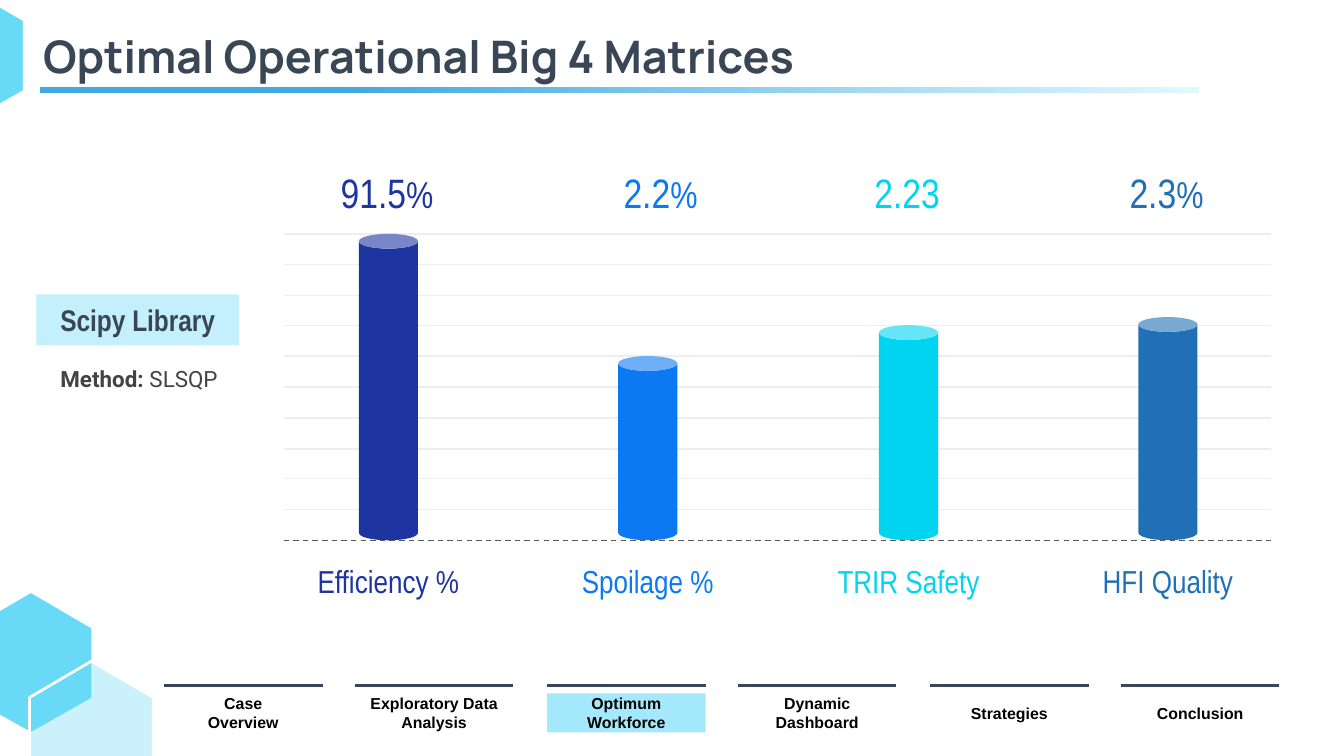
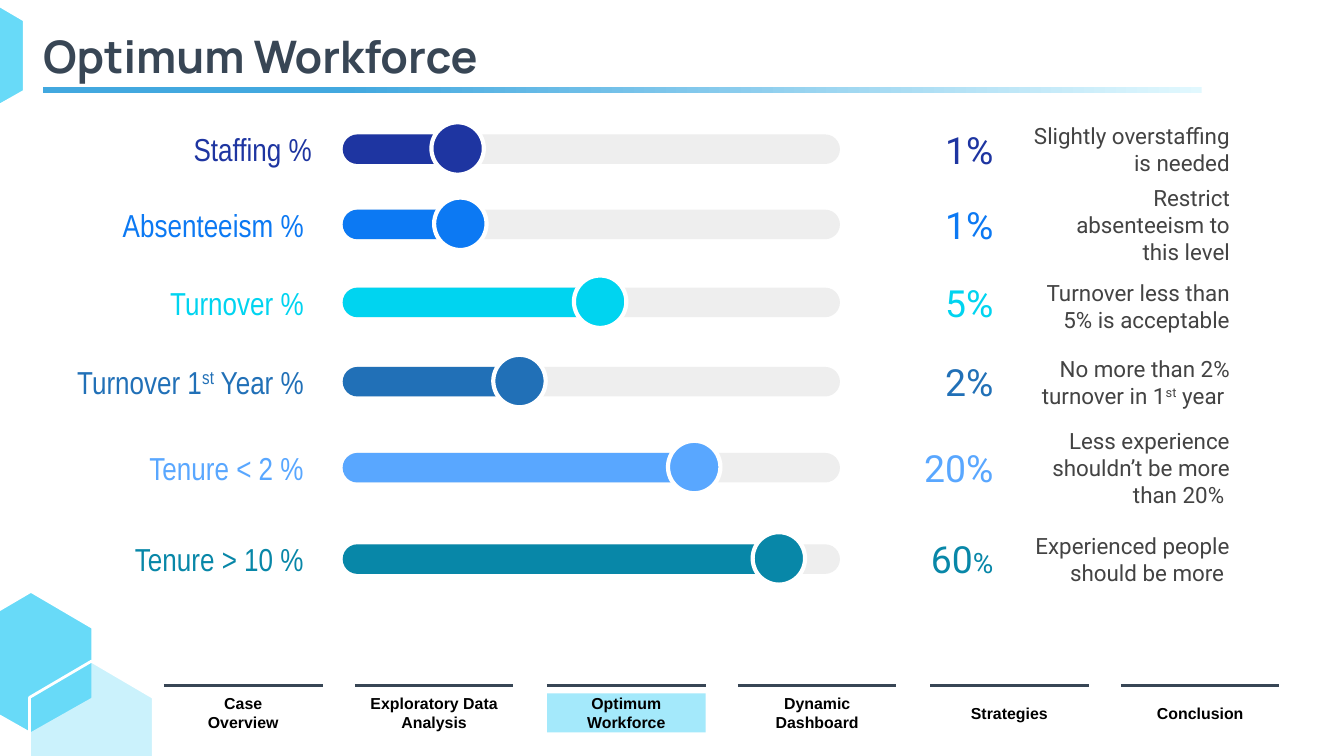
from typing import NamedTuple

from lxml.etree import SubElement
from pptx import Presentation
from pptx.dml.color import RGBColor
from pptx.enum.dml import MSO_LINE
from pptx.enum.shapes import MSO_CONNECTOR, MSO_SHAPE
from pptx.enum.text import MSO_ANCHOR, MSO_AUTO_SIZE, PP_ALIGN
from pptx.oxml.ns import qn
from pptx.util import Emu, Pt

SCALE = 9144  # EMU per px, 100 px to the inch
COLORS = {
    "slate": "384655", "black": "000000", "gray": "434343", "white": "FFFFFF",
    "track": "EEEEEE", "axis": "595959", "sky": "68DAF8", "active": "A4E9FB",
    "pale": "C3F0FC", "fade": "E1F8FE", "rule": "42A8DF", "navy": "1E35A1",
    "blue": "0C79F3", "cyan": "00D4F0", "steel": "2170B7", "light": "59A7FF",
    "teal": "0887A8",
}
SECTIONS = ["Case\nOverview", "Exploratory Data Analysis", "Optimum Workforce",
            "Dynamic Dashboard", "Strategies", "Conclusion"]
ACTIVE_SECTION = "Optimum Workforce"
SUPERSCRIPT = {"baseline": 30000}


class Metric(NamedTuple):
    name: str
    value: list
    color: str
    can_top: int
    value_width: int = 96


class Slider(NamedTuple):
    name: object
    value: object
    note: object
    color: str
    top: int
    fill_width: int
    knob_left: int
    name_left: int
    name_right: int = 236
    note_left: int = 749
    note_rise: int = 19


SMALL_PERCENT = ("%", {"size": 20})
METRICS = [
    Metric("Efficiency %", ["91.5", SMALL_PERCENT], "navy", 174),
    Metric("Spoilage %", ["2.2", SMALL_PERCENT], "blue", 265, 117),
    Metric("TRIR Safety", ["2.23"], "cyan", 242),
    Metric("HFI Quality", ["2.3", SMALL_PERCENT], "steel", 236),
]
SLIDERS = [
    Slider("Staffing %", "1%", "Slightly overstaffing is needed",
           "navy", 100, 91, 321, 124, name_right=242),
    Slider("Absenteeism %", "1%", "Restrict absenteeism to this level",
           "blue", 156, 91, 323, 61, note_left=767),
    Slider("Turnover %", "5%", "Turnover less than 5% is acceptable",
           "cyan", 214, 193, 427, 61, note_rise=16),
    Slider(["Turnover 1", ("st", SUPERSCRIPT), " Year %"], "2%",
           ["No more than 2% turnover in 1", ("st", SUPERSCRIPT), " year "],
           "steel", 273, 142, 367, -8),
    Slider("Tenure < 2 %", "20%", "Less experience shouldn’t be more than 20% ",
           "light", 337, 264, 497, 33),
    Slider("Tenure > 10 %", ["60", ("%", {"size": 15})],
           "Experienced people should be more ",
           "teal", 405, 335, 560, 33),
]


def px(value):
    return Emu(round(value) * SCALE)


def frame_px(*values):
    return [px(value) for value in values]


def rgb(name):
    return RGBColor.from_string(COLORS[name])


def write_text(frame, text, align=PP_ALIGN.CENTER, inset=10, **style):
    """Fill a text frame from a string or a list of strings and (text, style) pairs."""
    frame.word_wrap = True
    frame.auto_size = MSO_AUTO_SIZE.NONE
    frame.vertical_anchor = MSO_ANCHOR.MIDDLE
    frame.margin_left = frame.margin_right = px(10)
    frame.margin_top = frame.margin_bottom = px(inset)
    para = frame.paragraphs[0]
    para.alignment = align
    for part in [text] if isinstance(text, str) else text:
        words, changes = (part, {}) if isinstance(part, str) else part
        for number, line in enumerate(words.split("\n")):
            if number:
                para = frame.add_paragraph()
                para.alignment = align
            add_span(para, line, **{**style, **changes})


def add_span(para, text, size, font, color, bold=False, baseline=None):
    span = para.add_run()
    span.text = text
    span.font.size = Pt(size)
    span.font.name = font
    span.font.bold = bold
    span.font.color.rgb = rgb(color)
    if baseline:
        span._r.get_or_add_rPr().set("baseline", str(baseline))


def add_label(shapes, text, left, top, width, height, **style):
    box = shapes.add_textbox(*frame_px(left, top, width, height))
    write_text(box.text_frame, text, **style)
    return box


def paint(shape, color, border=None):
    shape.shadow.inherit = False
    shape.fill.solid()
    shape.fill.fore_color.rgb = rgb(color)
    if border:
        shape.line.color.rgb = rgb("white")
        shape.line.width = Pt(border)
    else:
        shape.line.fill.background()


def add_block(shapes, kind, left, top, width, height, color, corner=None, border=None):
    block = shapes.add_shape(kind, *frame_px(left, top, width, height))
    paint(block, color, border)
    if corner is not None:
        block.adjustments[0] = corner
    return block


def add_level_line(shapes, left, right, top, color, width, dash=None):
    line = shapes.add_connector(MSO_CONNECTOR.STRAIGHT, *frame_px(left, top, right, top))
    line.line.color.rgb = rgb(color)
    line.line.width = Pt(width)
    if dash:
        line.line.dash_style = dash
    SubElement(line._element.spPr, qn("a:effectLst"))


def add_hexagon(shapes, left, top, opacity=None):
    middle, right = left + 46, left + 92
    builder = shapes.build_freeform(middle, top, scale=SCALE)
    builder.add_line_segments([(right, top + 27), (right, top + 80), (middle, top + 106),
                               (left, top + 80), (left, top + 27)], close=True)
    hexagon = builder.convert_to_shape()
    paint(hexagon, "sky", border=1.5)
    if opacity:
        color = hexagon._element.spPr.find(qn("a:solidFill")).find(qn("a:srgbClr"))
        SubElement(color, qn("a:alpha")).set("val", str(opacity * 1000))


def add_navigation(page):
    shapes = page.shapes.add_group_shape().shapes
    for index, section in enumerate(SECTIONS):
        left = round(122 + 142.4 * index)
        area = (left, 516, 118, 29)
        style = dict(size=8.5, font="Arial", color="black", bold=True, inset=5)
        if section == ACTIVE_SECTION:
            tab = add_block(shapes, MSO_SHAPE.RECTANGLE, *area, "active")
            write_text(tab.text_frame, section, **style)
        else:
            add_label(shapes, section, *area, **style)
        add_level_line(shapes, left, left + 118, 510, "slate", 1.5)


def add_page(deck, title, rule_left):
    """Add a page with the shared title, hexagons, navigation and title rule."""
    page = deck.slides.add_slide(deck.slide_layouts[5])
    heading = page.shapes.title
    heading.left, heading.top, heading.width, heading.height = frame_px(22, 18, 788, 46)
    write_text(heading.text_frame, title, align=PP_ALIGN.LEFT,
               size=24, font="Manrope", color="slate", bold=True)

    add_hexagon(page.shapes, -23, 440)
    add_hexagon(page.shapes, 22, 492, opacity=34)
    add_hexagon(page.shapes, -74, -12)
    add_navigation(page)

    rule = add_block(page.shapes, MSO_SHAPE.RECTANGLE, rule_left, 65, 862, 4, "rule")
    rule.fill.gradient()
    rule.fill.gradient_angle = 180
    for stop, (position, color) in zip(rule.fill.gradient_stops,
                                       [(0, "fade"), (0.74, "rule")]):
        stop.position = position
        stop.color.rgb = rgb(color)
    return page


def add_metric(page, metric, can_left):
    shapes = page.shapes.add_group_shape().shapes
    style = dict(font="Arial Narrow", color=metric.color)
    add_label(shapes, metric.name, can_left - 47, 418, 138, 29, size=17, **style)
    add_label(shapes, metric.value, can_left - 27, 126, metric.value_width, 34,
              size=22, **style)
    add_block(shapes, MSO_SHAPE.CAN, can_left, metric.can_top, 44, 402 - metric.can_top,
              metric.color, corner=0.25)


def add_slider(page, slider):
    shapes = page.shapes.add_group_shape().shapes
    top, color = slider.top, slider.color
    # Track, filled part and knob
    for width, shade in [(370, "track"), (slider.fill_width, color)]:
        add_block(shapes, MSO_SHAPE.ROUNDED_RECTANGLE, 255, top, width, 22, shade, corner=0.5)
    add_block(shapes, MSO_SHAPE.OVAL, slider.knob_left, top - 9, 39, 39, color, border=2.25)
    # Name, value and note
    right = PP_ALIGN.RIGHT
    add_label(shapes, slider.name, slider.name_left, top - 7,
              slider.name_right - slider.name_left, 36,
              align=right, size=17, font="Arial Narrow", color=color)
    add_label(shapes, slider.value, 644, top - 7, 105, 36,
              align=right, size=20, font="Roboto", color=color)
    add_label(shapes, slider.note, slider.note_left, top - slider.note_rise,
              925 - slider.note_left, 60,
              align=right, size=12, font="Roboto", color="gray")


def build_matrices(deck):
    page = add_page(deck, "Optimal Operational Big 4 Matrices", 30)
    # Grid with a dashed base line
    grid = page.shapes.add_group_shape().shapes
    for index in range(10):
        add_level_line(grid, 211, 946, 174 + 22.8 * index, "track", 0.75)
    add_level_line(grid, 211, 946, 402, "axis", 0.75, MSO_LINE.DASH)
    for index, metric in enumerate(METRICS):
        add_metric(page, metric, round(267 + 193.4 * index))
    # Solver
    badge = add_block(page.shapes, MSO_SHAPE.RECTANGLE, 27, 219, 151, 38, "pale")
    write_text(badge.text_frame, "Scipy Library", size=16, font="Arial Narrow",
               color="slate", bold=True)
    add_label(page.shapes, [("Method: ", {"bold": True}), "SLSQP"], 22, 252, 163, 60,
              size=12, font="Roboto", color="gray")


def build_workforce(deck):
    page = add_page(deck, "Optimum Workforce", 32)
    for slider in SLIDERS:
        add_slider(page, slider)


def main():
    deck = Presentation()
    deck.slide_width = px(1000)
    deck.slide_height = Emu(deck.slide_width * 9 // 16)
    build_matrices(deck)
    build_workforce(deck)
    deck.save("out.pptx")


if __name__ == "__main__":
    main()
